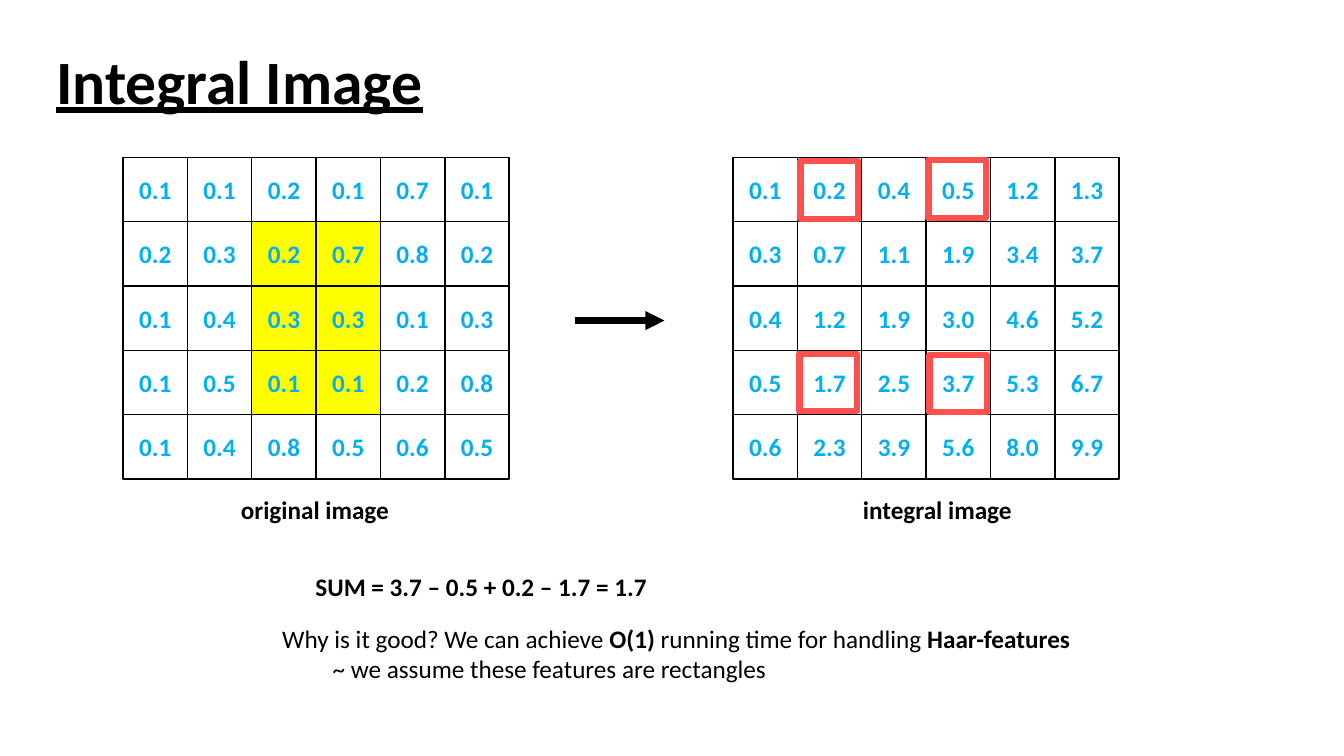
from dataclasses import dataclass
from lxml.etree import SubElement
from pptx import Presentation
from pptx.dml.color import RGBColor
from pptx.enum.shapes import MSO_CONNECTOR, MSO_SHAPE
from pptx.enum.text import MSO_ANCHOR, MSO_AUTO_SIZE, PP_ALIGN
from pptx.oxml.ns import qn
from pptx.util import Inches, Pt


@dataclass(frozen=True)
class Theme:
    """Colours, font and sizes of the slide."""
    font: str = "Calibri"
    ink: str = "000000"
    paper: str = "FFFFFF"
    digit: str = "00B0F0"
    mark: str = "FFFF00"
    ring: str = "FF5050"
    head: int = 44
    body: int = 18
    thin: float = 1
    thick: float = 4.5


class Board:
    """Draws styled elements on one slide."""

    def __init__(self, slide, theme):
        """Keep the slide and its style."""
        self.slide = slide
        self.theme = theme

    def run(self, para, text, color, size=None, bold=True, under=False):
        """Add one styled run to a paragraph."""
        run = para.add_run()
        run.text = text
        font = run.font
        font.name = self.theme.font
        font.size = Pt(size or self.theme.body)
        font.bold = bold
        font.underline = under
        font.color.rgb = RGBColor.from_string(color)

    def text(self, left, top, width, height, lines):
        """Add a text box from lines of text and weight pairs."""
        box = self.slide.shapes.add_textbox(
            Inches(left), Inches(top), Inches(width), Inches(height))
        frame = box.text_frame
        frame.word_wrap = False
        frame.auto_size = MSO_AUTO_SIZE.SHAPE_TO_FIT_TEXT
        for i, line in enumerate(lines):
            para = frame.add_paragraph() if i else frame.paragraphs[0]
            for part, bold in line:
                self.run(para, part, self.theme.ink, bold=bold)

    def title(self, text):
        """Add the underlined heading."""
        box = self.slide.shapes.add_textbox(
            Inches(0.46), Inches(0.11), Inches(11.5), Inches(1.45))
        frame = box.text_frame
        frame.word_wrap = True
        frame.vertical_anchor = MSO_ANCHOR.MIDDLE
        para = frame.paragraphs[0]
        para.line_spacing = 0.9
        self.run(para, text, self.theme.ink, self.theme.head, under=True)

    def square(self, left, top, side, line, width, fill=None):
        """Add an outlined square and return it."""
        shape = self.slide.shapes.add_shape(
            MSO_SHAPE.RECTANGLE, Inches(left), Inches(top),
            Inches(side), Inches(side))
        shape.shadow.inherit = False
        if fill:
            shape.fill.solid()
            shape.fill.fore_color.rgb = RGBColor.from_string(fill)
        else:
            shape.fill.background()
        shape.line.color.rgb = RGBColor.from_string(line)
        shape.line.width = Pt(width)
        return shape

    def grid(self, left, top, side, rows, marks=()):
        """Add a grid of number cells with some marked."""
        look = self.theme
        for r, row in enumerate(rows):
            for c, value in enumerate(row.split()):
                fill = look.mark if (r, c) in marks else look.paper
                cell = self.square(left + c * side, top + r * side, side,
                                   look.ink, look.thin, fill)
                frame = cell.text_frame
                frame.vertical_anchor = MSO_ANCHOR.MIDDLE
                para = frame.paragraphs[0]
                para.alignment = PP_ALIGN.CENTER
                self.run(para, value, look.digit)

    def arrow(self, start, end, level):
        """Add a level arrow pointing right."""
        link = self.slide.shapes.add_connector(
            MSO_CONNECTOR.STRAIGHT, Inches(start), Inches(level),
            Inches(end), Inches(level))
        link.line.color.rgb = RGBColor.from_string(self.theme.ink)
        link.line.width = Pt(self.theme.thick)
        SubElement(link.line._get_or_add_ln(), qn("a:tailEnd"), type="triangle")
        SubElement(link._element.spPr, qn("a:effectLst"))


SOURCE = (
    "0.1 0.1 0.2 0.1 0.7 0.1",
    "0.2 0.3 0.2 0.7 0.8 0.2",
    "0.1 0.4 0.3 0.3 0.1 0.3",
    "0.1 0.5 0.1 0.1 0.2 0.8",
    "0.1 0.4 0.8 0.5 0.6 0.5",
)
TOTALS = (
    "0.1 0.2 0.4 0.5 1.2 1.3",
    "0.3 0.7 1.1 1.9 3.4 3.7",
    "0.4 1.2 1.9 3.0 4.6 5.2",
    "0.5 1.7 2.5 3.7 5.3 6.7",
    "0.6 2.3 3.9 5.6 8.0 9.9",
)
MARKS = {(r, c) for r in (1, 2, 3) for c in (2, 3)}
RINGS = ((9.22, 3.52), (9.21, 1.59), (7.94, 1.6), (7.93, 3.51))
TOP = 1.56
SIDE = 3.83 / 6


def main():
    """Build and save the slide."""
    deck = Presentation()
    deck.slide_width = Inches(13.33)
    deck.slide_height = Inches(7.5)
    look = Theme()
    board = Board(deck.slides.add_slide(deck.slide_layouts[6]), look)
    board.title("Integral Image")
    board.grid(1.22, TOP, SIDE, SOURCE, MARKS)
    board.grid(7.27, TOP, SIDE, TOTALS)
    board.arrow(5.7, 6.59, 3.18)
    board.text(2.29, 4.86, 1.68, 0.4, [[("original image", True)]])
    board.text(8.46, 4.86, 1.69, 0.4, [[("integral image", True)]])
    for left, top in RINGS:
        board.square(left, top, 0.57, look.ring, look.thick)
    board.text(3.03, 5.62, 3.59, 0.4,
               [[("SUM = 3.7 – 0.5 + 0.2 – 1.7 = 1.7", True)]])
    board.text(2.7, 6.13, 8.08, 0.71, [
        [("Why is it good? We can achieve ", False), ("O(1) ", True),
         ("running time for handling ", False), ("Haar-features", True)],
        [("\t~ we assume these features are rectangles", False)],
    ])
    deck.save("out.pptx")


if __name__ == "__main__":
    main()
